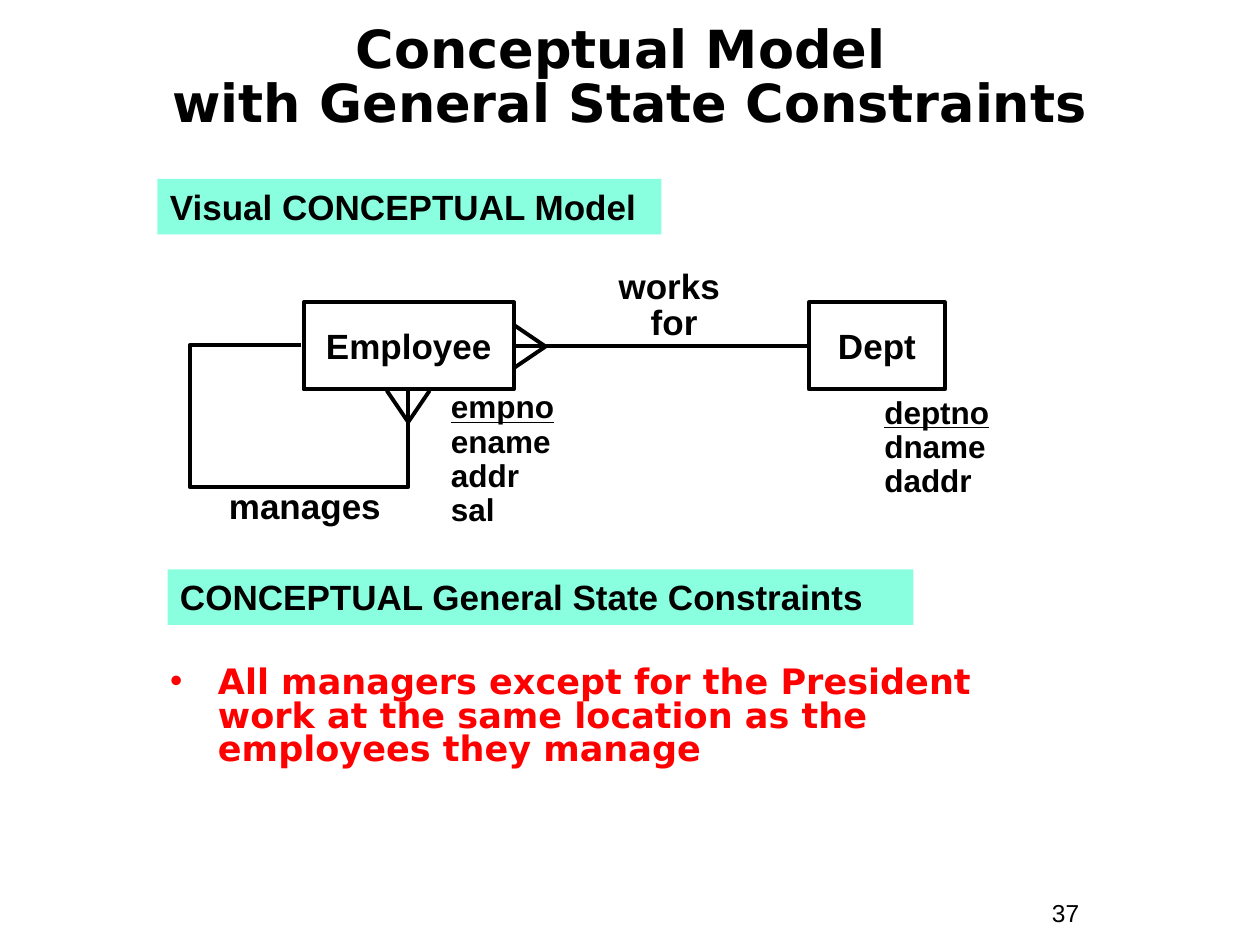
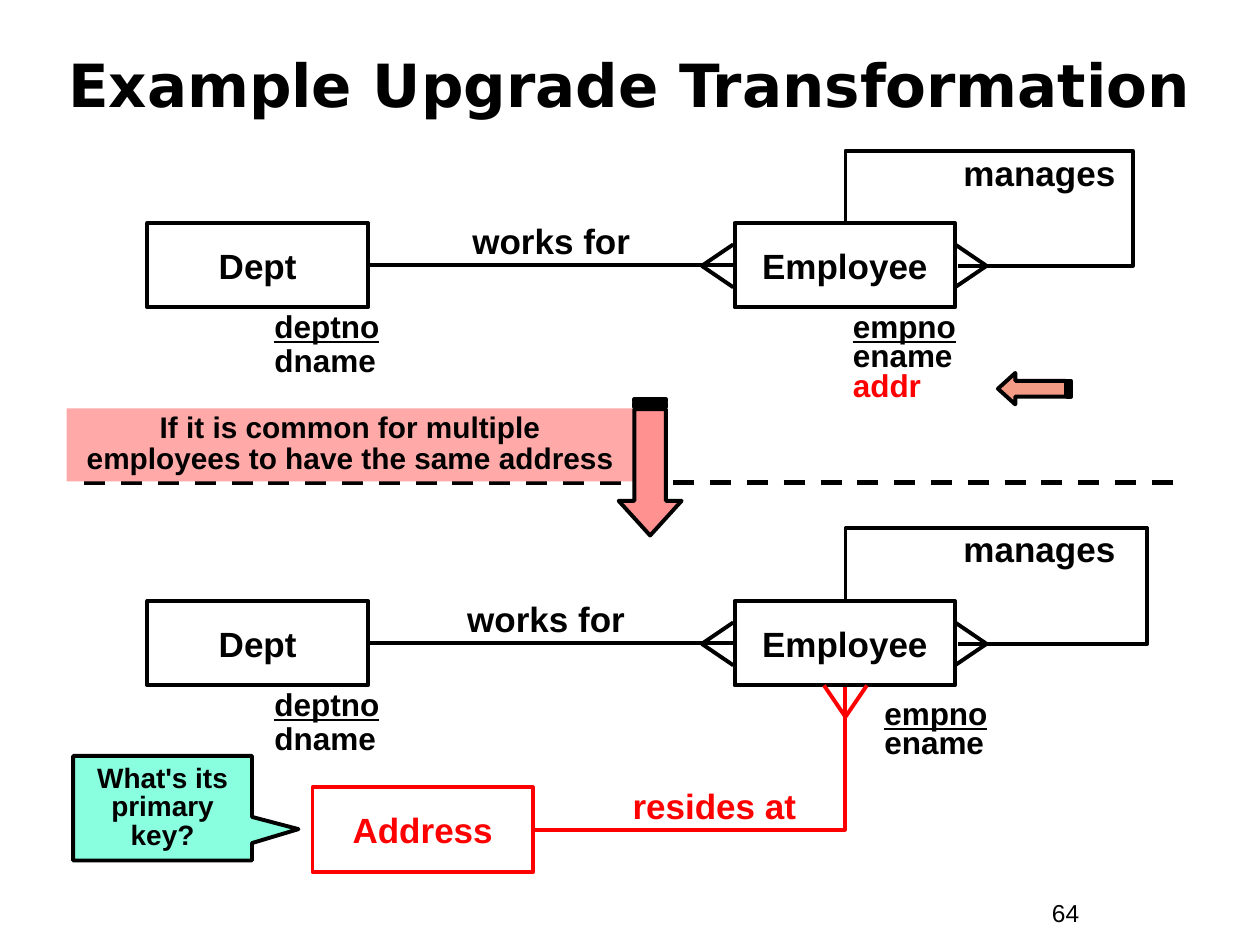
import copy

import pptx
import pptx.dml.color
import pptx.enum.dml
import pptx.enum.shapes
import pptx.enum.text
import pptx.oxml.ns
import pptx.util
from lxml import etree

Inches = pptx.util.Inches
Pt = pptx.util.Pt
qn = pptx.oxml.ns.qn
SHAPE = pptx.enum.shapes.MSO_SHAPE
CONNECTOR = pptx.enum.shapes.MSO_CONNECTOR
ANCHOR = pptx.enum.text.MSO_ANCHOR
LEFT = pptx.enum.text.PP_ALIGN.LEFT
CENTER = pptx.enum.text.PP_ALIGN.CENTER

BLACK = "000000"
RED = "FF0000"
MINT = "89FFE0"
PINK = "FFA9A9"
SALMON = "F49B86"
ROSE = "FF9191"
BODY_FONT = "Arial"
HEADING_FONT = "DejaVu Sans"
STROKE = 2.25


def rgb(value):
    return pptx.dml.color.RGBColor.from_string(value)


def write(shape, text, size=20, font=BODY_FONT, color=BLACK, bold=True, underline=False,
          align=LEFT, anchor=ANCHOR.TOP, spacing=1.0, wrap=True):
    frame = shape.text_frame
    frame.word_wrap = wrap
    frame.auto_size = pptx.enum.text.MSO_AUTO_SIZE.NONE
    frame.vertical_anchor = anchor
    paragraph = frame.add_paragraph() if frame.text else frame.paragraphs[0]
    paragraph.text = text
    paragraph.alignment = align
    paragraph.line_spacing = spacing
    paragraph.space_before = Pt(0)
    for run in paragraph.runs:
        run.font.size = Pt(size)
        run.font.name = font
        run.font.bold = bold
        run.font.underline = underline
        run.font.color.rgb = rgb(color)
    for line_break in paragraph._p.findall(qn("a:br")):
        line_break.insert(0, copy.deepcopy(paragraph.runs[0]._r.rPr))
    return paragraph


deck = pptx.Presentation()
deck.slide_width = Inches(10)
deck.slide_height = Inches(7.5)
constraints = deck.slides.add_slide(deck.slide_layouts[1])
upgrade = deck.slides.add_slide(deck.slide_layouts[5])

for slide, heading, size, spacing, area, number in [
    (constraints, "Conceptual Model \vwith General State Constraints", 30, 0.85,
     (0.25, 0.38, 9.5, 0.5), "37"),
    (upgrade, "Example Upgrade Transformation", 34, 1.0, (0.33, 0.33, 9.33, 0.67), "64"),
]:
    title = slide.shapes.title
    title.left, title.top, title.width, title.height = map(Inches, area)
    write(title, heading, size=size, font=HEADING_FONT, align=CENTER, anchor=ANCHOR.MIDDLE,
          spacing=spacing)
    page_number = slide.shapes.add_textbox(*map(Inches, (8.25, 7.08, 0.92, 0.34)))
    write(page_number, number, size=14, bold=False)

entities = []
for slide, name, left, top, width, height, color in [
    (constraints, "Dept", 6.42, 2.4, 1.08, 0.69, BLACK),
    (constraints, "Employee", 2.41, 2.4, 1.67, 0.69, BLACK),
    (upgrade, "Dept", 1.17, 1.77, 1.75, 0.67, BLACK),
    (upgrade, "Employee", 5.83, 1.77, 1.75, 0.67, BLACK),
    (upgrade, "Dept", 1.17, 4.77, 1.75, 0.67, BLACK),
    (upgrade, "Employee", 5.83, 4.77, 1.75, 0.67, BLACK),
    (upgrade, "Address", 2.48, 6.25, 1.75, 0.67, RED),
]:
    entity = slide.shapes.add_shape(SHAPE.RECTANGLE, *map(Inches, (left, top, width, height)))
    entity.shadow.inherit = False
    entity.fill.background()
    entity.line.color.rgb = rgb(color)
    entity.line.width = Pt(STROKE)
    write(entity, name, color=color, align=CENTER, anchor=ANCHOR.MIDDLE, wrap=False)
    entities.append(entity)

strokes = []
for slide, dept, dept_side, employee, employee_side in [
    (constraints, entities[0], 1, entities[1], 3),
    (upgrade, entities[2], 3, entities[3], 1),
    (upgrade, entities[4], 3, entities[5], 1),
]:
    works_for = slide.shapes.add_connector(CONNECTOR.STRAIGHT, 0, 0, 0, 0)
    works_for.begin_connect(dept, dept_side)
    works_for.end_connect(employee, employee_side)
    strokes.append((works_for, BLACK, STROKE))

for slide, preset, left, top, width, height, rotation, flip, bends, color in [
    (constraints, "bentConnector4", 2.39, 2.74, 0.85, 0.36, 0, "0", (-1.04, 3.13), BLACK),
    (upgrade, "bentConnector4", 6.98, 1.49, 0.35, 0.89, 270, "1", (-1.61, 2.56), BLACK),
    (upgrade, "bentConnector4", 6.98, 4.49, 0.35, 0.89, 270, "1", (-1.62, 2.69), BLACK),
    (upgrade, "bentConnector2", 4.91, 4.79, 1.13, 2.46, 90, "0", (), RED),
]:
    route = slide.shapes.add_connector(
        CONNECTOR.ELBOW, *map(Inches, (left, top, left + width, top + height)))
    frame = route.element.spPr.find(qn("a:xfrm"))
    frame.set("rot", str(rotation * 60000))
    frame.set("flipH", flip)
    geometry = route.element.spPr.find(qn("a:prstGeom"))
    geometry.set("prst", preset)
    guides = geometry.find(qn("a:avLst"))
    for index, bend in enumerate(bends, 1):
        etree.SubElement(guides, qn("a:gd"), name=f"adj{index}", fmla=f"val {round(bend * 100000)}")
    strokes.append((route, color, STROKE))

for slide, tip_x, tip_y, back_x, back_y, color in [
    (constraints, 4.33, 2.75, -0.25, 0, BLACK),
    (constraints, 3.24, 3.35, 0, -0.25, BLACK),
    (upgrade, 7.83, 2.11, -0.25, 0, BLACK),
    (upgrade, 5.57, 2.11, 0.25, 0, BLACK),
    (upgrade, 7.83, 5.11, -0.25, 0, BLACK),
    (upgrade, 5.57, 5.11, 0.25, 0, BLACK),
    (upgrade, 6.71, 5.69, 0, -0.25, RED),
]:
    for spread in (-0.17, 0.17):
        toe_x = tip_x + (back_x or spread)
        toe_y = tip_y + (back_y or spread)
        toe = slide.shapes.add_connector(
            CONNECTOR.STRAIGHT, *map(Inches, (tip_x, tip_y, toe_x, toe_y)))
        strokes.append((toe, color, STROKE))

divider = upgrade.shapes.add_connector(
    CONNECTOR.STRAIGHT, *map(Inches, (0.67, 3.83, 9.33, 3.83)))
strokes.append((divider, BLACK, 3))

for stroke, color, weight in strokes:
    stroke.line.color.rgb = rgb(color)
    stroke.line.width = Pt(weight)
    etree.SubElement(stroke.element.spPr, qn("a:effectLst"))
divider.line.dash_style = pptx.enum.dml.MSO_LINE.DASH

for slide, role, left, top, width, height, color in [
    (constraints, "works \vfor", 4.56, 2.1, 1.58, 0.67, BLACK),
    (constraints, "manages", 1.67, 3.8, 1.5, 0.44, BLACK),
    (upgrade, "works for", 3.5, 1.69, 1.75, 0.44, BLACK),
    (upgrade, "manages", 7.5, 1.15, 1.5, 0.44, BLACK),
    (upgrade, "works for", 3.5, 4.69, 1.67, 0.44, BLACK),
    (upgrade, "manages", 7.5, 4.14, 1.5, 0.44, BLACK),
    (upgrade, "resides at", 4.67, 6.18, 2, 0.44, RED),
]:
    role_label = slide.shapes.add_textbox(*map(Inches, (left, top, width, height)))
    write(role_label, role, color=color, align=CENTER, spacing=0.85 if "\v" in role else 1.0)

for slide, left, top, width, height, attributes in [
    (constraints, 3.48, 3.06, 1.42, 1.18,
     [("empno", 0.9), ("ename", 0.9), ("addr", 0.9), ("sal", 0.9)]),
    (constraints, 6.92, 3.1, 1.42, 0.91, [("deptno", 0.9), ("dname", 0.9), ("daddr", 0.9)]),
    (upgrade, 2.08, 2.42, 1.67, 0.64, [("deptno", 0.9), ("dname", 0.9)]),
    (upgrade, 6.67, 2.42, 1.33, 0.84, [("empno", 0.9), ("ename", 0.75), ("addr", 0.8)]),
    (upgrade, 2.08, 5.42, 1.67, 0.64, [("deptno", 0.9), ("dname", 0.9)]),
    (upgrade, 6.92, 5.49, 1.33, 0.6, [("empno", 0.9), ("ename", 0.75)]),
]:
    attribute_list = slide.shapes.add_textbox(*map(Inches, (left, top, width, height)))
    for attribute, spacing in attributes:
        moved = slide is upgrade and attribute == "addr"
        write(attribute_list, attribute, size=18, color=RED if moved else BLACK,
              underline=attribute in ("empno", "deptno"), spacing=spacing)

for slide, caption, left, top, width, height, fill, size, align, spacing in [
    (constraints, "Visual CONCEPTUAL Model", 1.25, 1.42, 4, 0.44, MINT, 20, LEFT, 1.0),
    (constraints, "CONCEPTUAL General State Constraints", 1.33, 4.52, 5.92, 0.44, MINT, 20,
     LEFT, 1.0),
    (upgrade, "If it is common for multiple employees to have the same address",
     0.53, 3.24, 4.5, 0.58, PINK, 17, CENTER, 0.85),
]:
    band = slide.shapes.add_shape(SHAPE.RECTANGLE, *map(Inches, (left, top, width, height)))
    band.shadow.inherit = False
    band.fill.solid()
    band.fill.fore_color.rgb = rgb(fill)
    band.line.fill.background()
    write(band, caption, size=size, align=align, spacing=spacing)

rule = constraints.placeholders[1]
rule.left, rule.top, rule.width, rule.height = map(Inches, (1.25, 5.25, 6.83, 1.58))
bullet = write(rule, "All managers except for the President work at the same location "
               "as the employees they manage", font=HEADING_FONT, color=RED, spacing=0.8)
bullet_format = bullet._p.get_or_add_pPr()
bullet_format.set("marL", str(Inches(0.38)))
bullet_format.set("indent", str(-Inches(0.38)))
bullet_color = etree.SubElement(bullet_format, qn("a:buClr"))
etree.SubElement(bullet_color, qn("a:srgbClr"), val=RED)
etree.SubElement(bullet_format, qn("a:buChar"), char="•")

for preset, left, top, width, height, rotation, adjustments, fill in [
    (SHAPE.STRIPED_RIGHT_ARROW, 7.92, 2.96, 0.58, 0.25, 180, (0.5, 0.55), SALMON),
    (SHAPE.STRIPED_RIGHT_ARROW, 4.62, 3.46, 1.08, 0.5, 90, (0.5, 0.55), ROSE),
    (SHAPE.RECTANGULAR_CALLOUT, 0.58, 6, 1.42, 0.83, 0, (0.76, 0.2), MINT),
]:
    pointer = upgrade.shapes.add_shape(preset, *map(Inches, (left, top, width, height)))
    pointer.rotation = rotation
    for index, adjustment in enumerate(adjustments):
        pointer.adjustments[index] = adjustment
    pointer.shadow.inherit = False
    pointer.fill.solid()
    pointer.fill.fore_color.rgb = rgb(fill)
    pointer.line.color.rgb = rgb(BLACK)
    pointer.line.width = Pt(STROKE)
    if preset == SHAPE.RECTANGULAR_CALLOUT:
        write(pointer, "What's its primary key?", size=16, align=CENTER,
              anchor=ANCHOR.MIDDLE, spacing=0.85)

deck.save("out.pptx")
